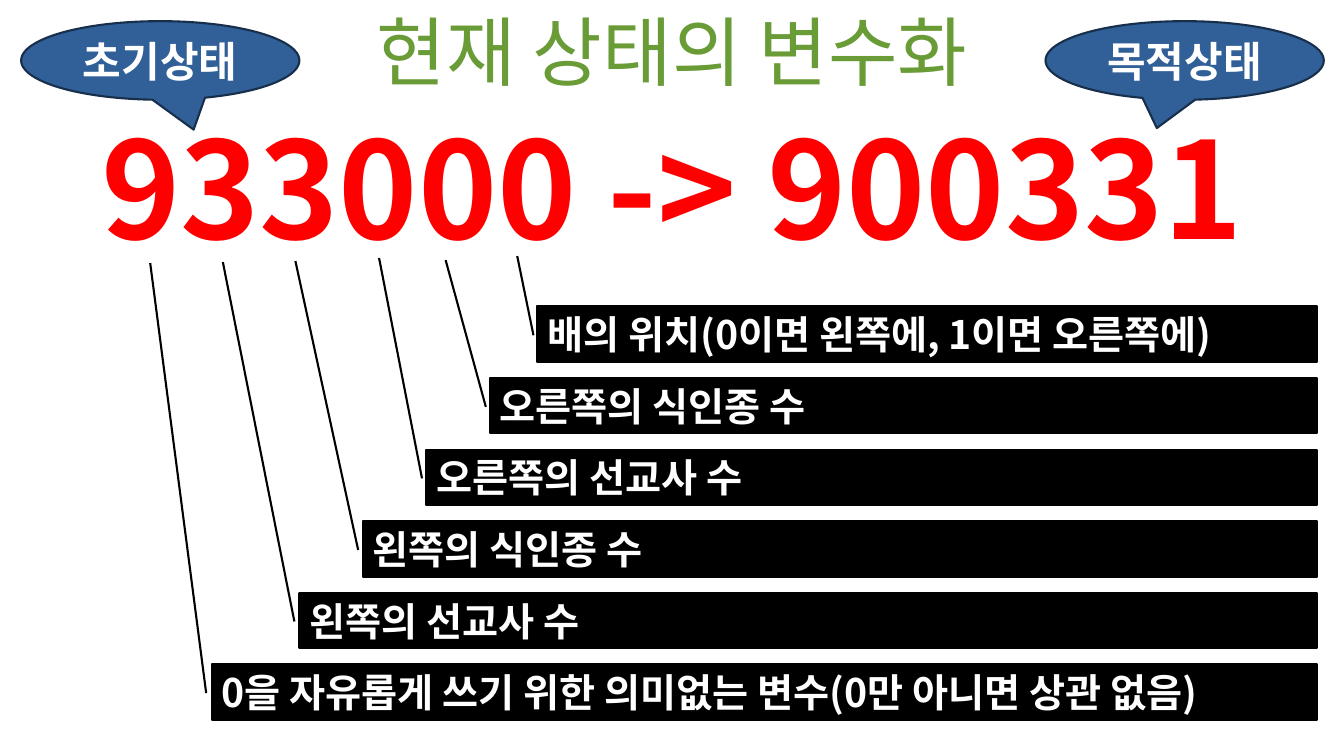
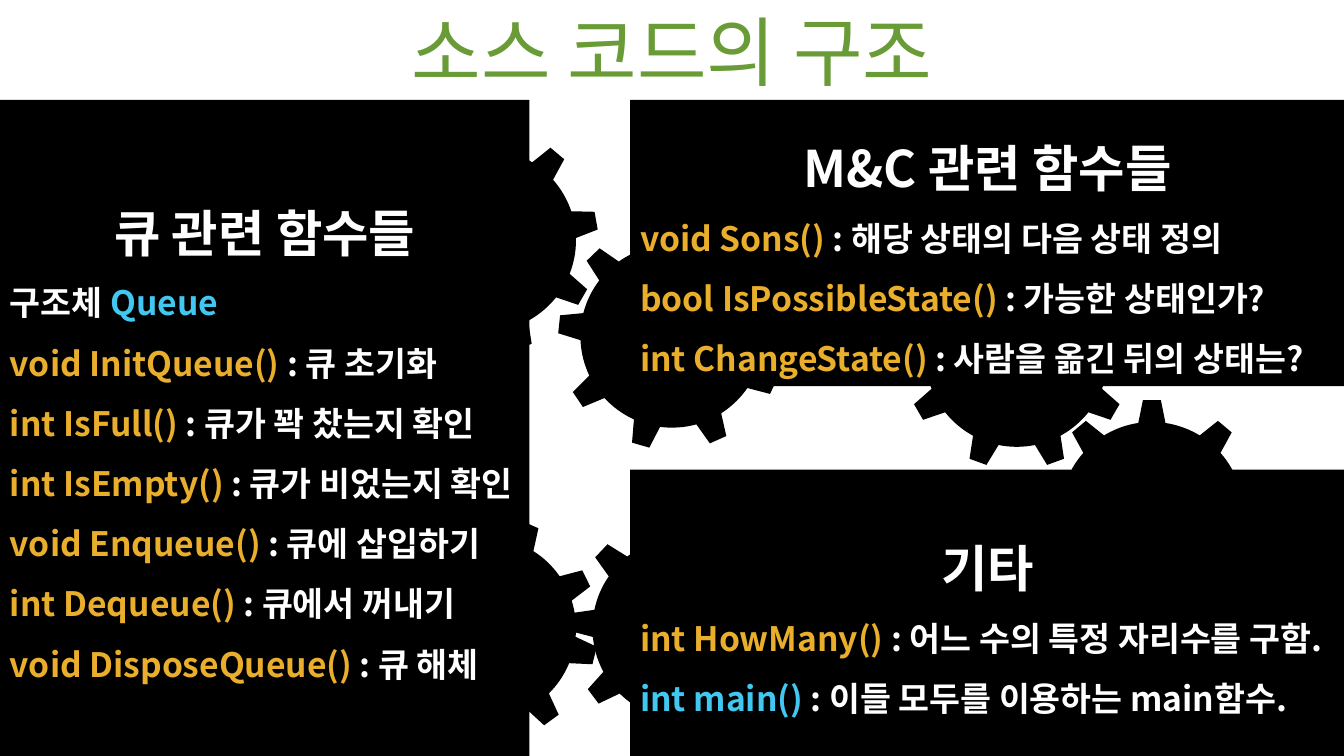
"""Build two slides on a state encoding and the structure of its source code."""
from lxml import etree
from pptx import Presentation
from pptx.dml.color import RGBColor
from pptx.enum import shapes, text
from pptx.oxml import ns
from pptx.util import Inches, Pt


class Theme:
    font = "Noto Sans CJK KR"
    green = "699B37"
    red = "FF0000"
    blue = "315F97"
    navy = "182F4B"
    black = "000000"
    white = "FFFFFF"
    amber = "E9AE2B"
    cyan = "42C7F1"
    title_size = 54
    state_size = 96
    heading_size = 36
    bubble_size = 30
    label_size = 28
    code_size = 24
    heading_pitch = 64.5
    code_pitch = 43
    outline = 1.5


def write(paragraph, runs, size, bold=True, align=text.PP_ALIGN.LEFT, pitch=None):
    paragraph.alignment = align
    if pitch:
        paragraph.line_spacing = Pt(pitch)
    for words, color in runs:
        run = paragraph.add_run()
        run.text = words
        run.font.size = Pt(size)
        run.font.bold = bold
        run.font.name = Theme.font
        run.font.color.rgb = RGBColor.from_string(color)
        east_asian = etree.SubElement(run._r.get_or_add_rPr(), ns.qn("a:ea"))
        east_asian.set("typeface", Theme.font)


def add_block(slide, kind, box, fill, line=None, adjustments=()):
    block = slide.shapes.add_shape(kind, *map(Inches, box))
    block.shadow.inherit = False
    block.fill.solid()
    block.fill.fore_color.rgb = RGBColor.from_string(fill)
    if line:
        block.line.color.rgb = RGBColor.from_string(line)
        block.line.width = Pt(Theme.outline)
    else:
        block.line.fill.background()
    for index, value in enumerate(adjustments):
        block.adjustments[index] = value
    block.text_frame.vertical_anchor = text.MSO_ANCHOR.MIDDLE
    return block


CENTER = text.PP_ALIGN.CENTER
WIDTH, HEIGHT, BAND = 13.33, 7.5, 0.99

deck = Presentation()
deck.slide_width, deck.slide_height = Inches(WIDTH), Inches(HEIGHT)

slides = []
for heading in ("현재 상태의 변수화", "소스 코드의 구조"):
    slide = deck.slides.add_slide(deck.slide_layouts[5])
    title = slide.shapes.title
    title.left, title.top = Inches(0), Inches(0)
    title.width, title.height = Inches(WIDTH), Inches(BAND)
    title.text_frame.auto_size = text.MSO_AUTO_SIZE.NONE
    title.text_frame.vertical_anchor = text.MSO_ANCHOR.MIDDLE
    write(title.text_frame.paragraphs[0], [(heading, Theme.green)],
          Theme.title_size, False, CENTER)
    slides.append(slide)
state_slide, code_slide = slides

transition = state_slide.shapes.add_textbox(
    Inches(0), Inches(BAND), Inches(WIDTH), Inches(1.7)).text_frame
transition.word_wrap = True
transition.vertical_anchor = text.MSO_ANCHOR.MIDDLE
write(transition.paragraphs[0], [("933000 -> 900331", Theme.red)],
      Theme.state_size, align=CENTER)

for words, left, tail in (
    ("초기상태", 0.21, (0.12, 0.88)),
    ("목적상태", 10.37, (-0.1, 0.86)),
):
    bubble = add_block(state_slide, shapes.MSO_SHAPE.OVAL_CALLOUT,
                       (left, 0.21, 2.76, 0.78), Theme.blue, Theme.navy, tail)
    write(bubble.text_frame.paragraphs[0], [(words, Theme.white)],
          Theme.bubble_size, align=CENTER)

LABEL_RIGHT, LABEL_TOP, LABEL_PITCH, LABEL_HEIGHT = 13.06, 3.04, 0.71, 0.55
digit_labels = (
    ("배의 위치(0이면 왼쪽에, 1이면 오른쪽에)", 5.33, (5.13, 2.54)),
    ("오른쪽의 식인종 수", 4.86, (4.42, 2.58)),
    ("오른쪽의 선교사 수", 4.23, (3.76, 2.56)),
    ("왼쪽의 식인종 수", 3.6, (2.93, 2.59)),
    ("왼쪽의 선교사 수", 2.97, (2.21, 2.6)),
    ("0을 자유롭게 쓰기 위한 의미없는 변수(0만 아니면 상관 없음)", 2.1, (1.49, 2.61)),
)
for row, (words, left, (digit_x, digit_y)) in enumerate(digit_labels):
    top = LABEL_TOP + row * LABEL_PITCH
    width = LABEL_RIGHT - left
    leader = (0.52, -0.005, (digit_y - top) / LABEL_HEIGHT, (digit_x - left) / width)
    label = add_block(state_slide, shapes.MSO_SHAPE.LINE_CALLOUT_1,
                      (left, top, width, LABEL_HEIGHT),
                      Theme.black, Theme.black, leader)
    write(label.text_frame.paragraphs[0], [(words, Theme.white)], Theme.label_size)

for left, top, turn in (
    (3.67, 1.25, 0), (5.53, 2.2, 356), (3.67, 5.1, 23.8),
    (5.65, 5.1, 353.2), (8.95, 2.39, 0), (10.29, 3.96, 0),
):
    gear = add_block(code_slide, shapes.MSO_SHAPE.GEAR_9, (left, top, 2.27, 2.27),
                     Theme.black, adjustments=(0.1, 0.02))
    gear.rotation = turn

panels = (
    ((0, BAND, 5.25, 6.51), "큐 관련 함수들", (
        (("구조체 ", Theme.white), ("Queue", Theme.cyan)),
        (("void InitQueue()", Theme.amber), (" : 큐 초기화", Theme.white)),
        (("int IsFull() ", Theme.amber), (": 큐가 꽉 찼는지 확인", Theme.white)),
        (("int IsEmpty() ", Theme.amber), (": 큐가 비었는지 확인", Theme.white)),
        (("void Enqueue() ", Theme.amber), (": 큐에 삽입하기", Theme.white)),
        (("int Dequeue() ", Theme.amber), (": 큐에서 꺼내기", Theme.white)),
        (("void DisposeQueue() ", Theme.amber), (": 큐 해체", Theme.white)),
    )),
    ((6.25, BAND, 7.09, 2.84), "M&C 관련 함수들", (
        (("void Sons()", Theme.amber), (" : 해당 상태의 다음 상태 정의", Theme.white)),
        (("bool IsPossibleState() ", Theme.amber), (": 가능한 상태인가?", Theme.white)),
        (("int ChangeState() ", Theme.amber), (": 사람을 옮긴 뒤의 상태는?", Theme.white)),
    )),
    ((6.25, 4.66, 7.09, 2.84), "기타", (
        (("int HowMany() ", Theme.amber), (": 어느 수의 특정 자리수를 구함.", Theme.white)),
        (("int main() ", Theme.cyan), (": 이들 모두를 이용하는 main함수.", Theme.white)),
    )),
)
for box, heading, functions in panels:
    frame = add_block(code_slide, shapes.MSO_SHAPE.RECTANGLE, box, Theme.black).text_frame
    write(frame.paragraphs[0], [(heading, Theme.white)], Theme.heading_size,
          align=CENTER, pitch=Theme.heading_pitch)
    for runs in functions:
        write(frame.add_paragraph(), runs, Theme.code_size, pitch=Theme.code_pitch)

deck.save("out.pptx")
